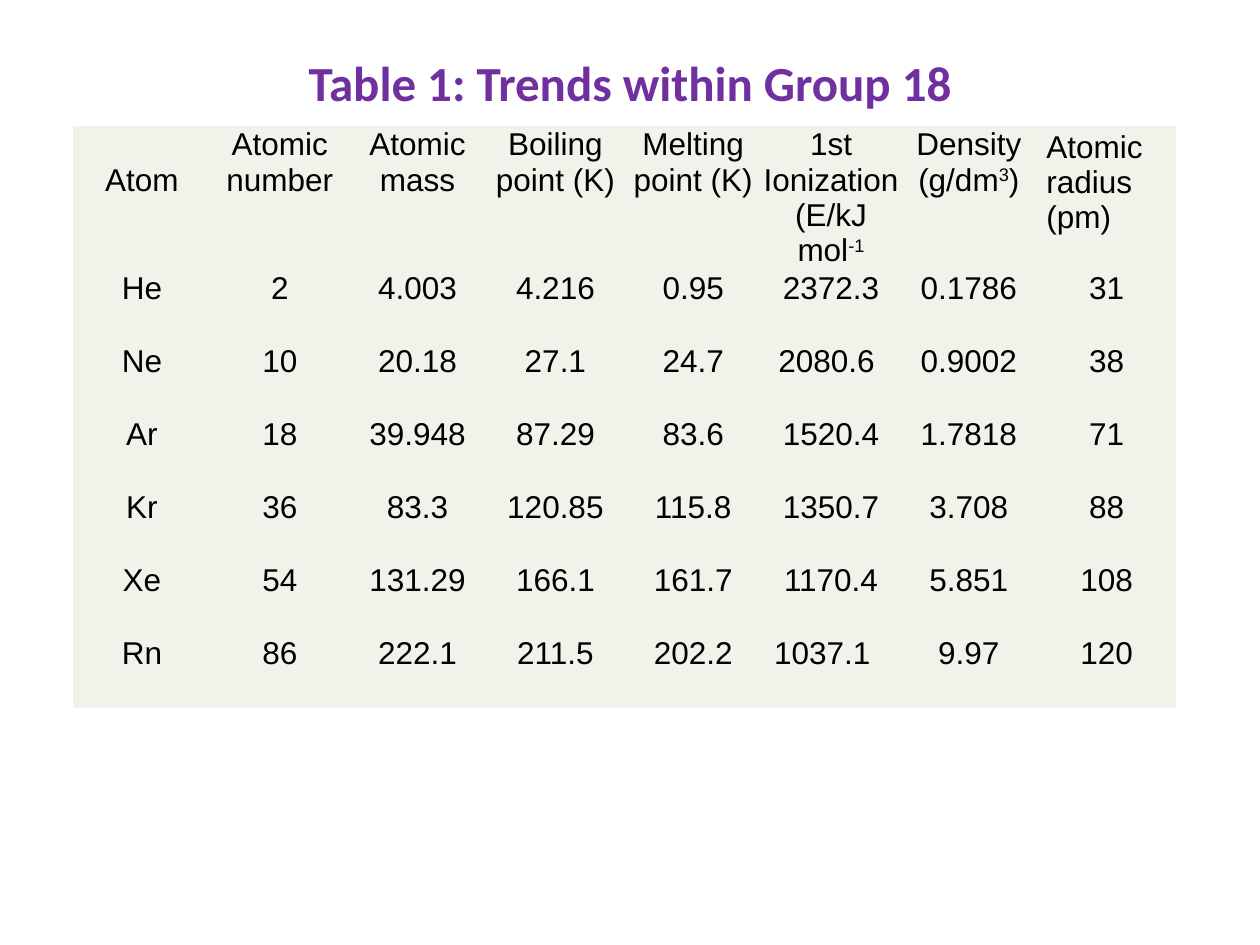
from pptx import Presentation
from pptx.dml.color import RGBColor
from pptx.enum.text import MSO_ANCHOR, PP_ALIGN
from pptx.util import Inches, Pt

NO_STYLE_NO_GRID = "{2D5ABB26-0587-4C30-8999-92F81FD0307C}"

# A header is a list of (text, is_superscript) runs
HEADERS = [
    [("Atom", False)],
    [("Atomic number", False)],
    [("Atomic mass", False)],
    [("Boiling point (K)", False)],
    [("Melting point (K)", False)],
    [("1st Ionization (E/kJ mol", False), ("-1", True)],
    [("Density (g/dm", False), ("3", True), (")", False)],
    [("Atomic radius (pm)", False)],
]
NOBLE_GASES = [
    ["He", "2", "4.003", "4.216", "0.95", "2372.3", "0.1786", "31"],
    ["Ne", "10", "20.18", "27.1", "24.7", "2080.6", "0.9002", "38"],
    ["Ar", "18", "39.948", "87.29", "83.6", "1520.4", "1.7818", "71"],
    ["Kr", "36", "83.3", "120.85", "115.8", "1350.7", "3.708", "88"],
    ["Xe", "54", "131.29", "166.1", "161.7", "1170.4", "5.851", "108"],
    ["Rn", "86", "222.1", "211.5", "202.2", "1037.1", "9.97", "120"],
]
# Cells whose margins (left, top, right, bottom) or alignment differ
CELL_MARGINS = {
    (0, 0): (0.01, 0.29, 0.01, 0.01),
    (0, 7): (0.07, 0.03, 0.07, 0.03),
    (2, 5): (0.01, 0.01, 0.08, 0.01),
    (6, 5): (0.01, 0.01, 0.15, 0.01),
}
CELL_ALIGNMENT = {(0, 7): PP_ALIGN.LEFT}


def color(hex_code):
    return RGBColor.from_string(hex_code)


class SlideBuilder:
    title_format = {"name": "Calibri", "size": Pt(28), "bold": True}
    body_format = {"name": "Arial", "size": Pt(18), "bold": False}
    title_color, text_color, cell_color = "7030A0", "000000", "EFF3E9"

    def __init__(self, slide):
        self.slide = slide

    def format_font(self, font, values, hex_code):
        for attribute, value in values.items():
            setattr(font, attribute, value)
        font.color.rgb = color(hex_code)

    def set_margins(self, target, margins):
        for side, margin in zip(("left", "top", "right", "bottom"), margins):
            setattr(target, f"margin_{side}", Inches(margin))

    def title(self, text, left, top, width, height):
        title = self.slide.shapes.title
        box = {"left": left, "top": top, "width": width, "height": height}
        for attribute, value in box.items():
            setattr(title, attribute, Inches(value))
        frame = title.text_frame
        frame.text = text
        frame.vertical_anchor = MSO_ANCHOR.MIDDLE
        self.set_margins(frame, (0.1, 0.05, 0.1, 0.05))
        paragraph = frame.paragraphs[0]
        paragraph.alignment = PP_ALIGN.CENTER
        self.format_font(paragraph.runs[0].font, self.title_format, self.title_color)

    def cell(self, cell, runs, margins, alignment):
        cell.fill.solid()
        cell.fill.fore_color.rgb = color(self.cell_color)
        self.set_margins(cell, margins)
        paragraph = cell.text_frame.paragraphs[0]
        paragraph.alignment = alignment
        for text, superscript in runs:
            run = paragraph.add_run()
            run.text = text
            self.format_font(run.font, self.body_format, self.text_color)
            if superscript:
                run._r.get_or_add_rPr().set("baseline", "30000")

    def table(self, rows, left, top, width, row_heights):
        frame = self.slide.shapes.add_table(
            len(rows), len(rows[0]), Inches(left), Inches(top),
            Inches(width), Inches(sum(row_heights)))
        table = frame.table
        table.first_row = table.horz_banding = False
        table._tbl.tblPr.find("{*}tableStyleId").text = NO_STYLE_NO_GRID
        for row, height in zip(table.rows, row_heights):
            row.height = Inches(height)
        for r, row in enumerate(rows):
            for c, runs in enumerate(row):
                self.cell(table.cell(r, c), runs,
                          CELL_MARGINS.get((r, c), (0.01,) * 4),
                          CELL_ALIGNMENT.get((r, c), PP_ALIGN.CENTER))


def main():
    presentation = Presentation()
    presentation.slide_width = Inches(10)
    presentation.slide_height = Inches(7.5)
    title_only = presentation.slide_layouts[5]
    builder = SlideBuilder(presentation.slides.add_slide(title_only))

    # Heading
    builder.title("Table 1: Trends within Group 18", 0.5, 0.3, 9, 0.7)

    # Properties of the noble gases
    gas_rows = [[[(value, False)] for value in gas] for gas in NOBLE_GASES]
    builder.table([HEADERS] + gas_rows, 0.58, 1, 8.75,
                  [1.12] + [0.58] * len(gas_rows))

    presentation.save("out.pptx")


if __name__ == "__main__":
    main()
